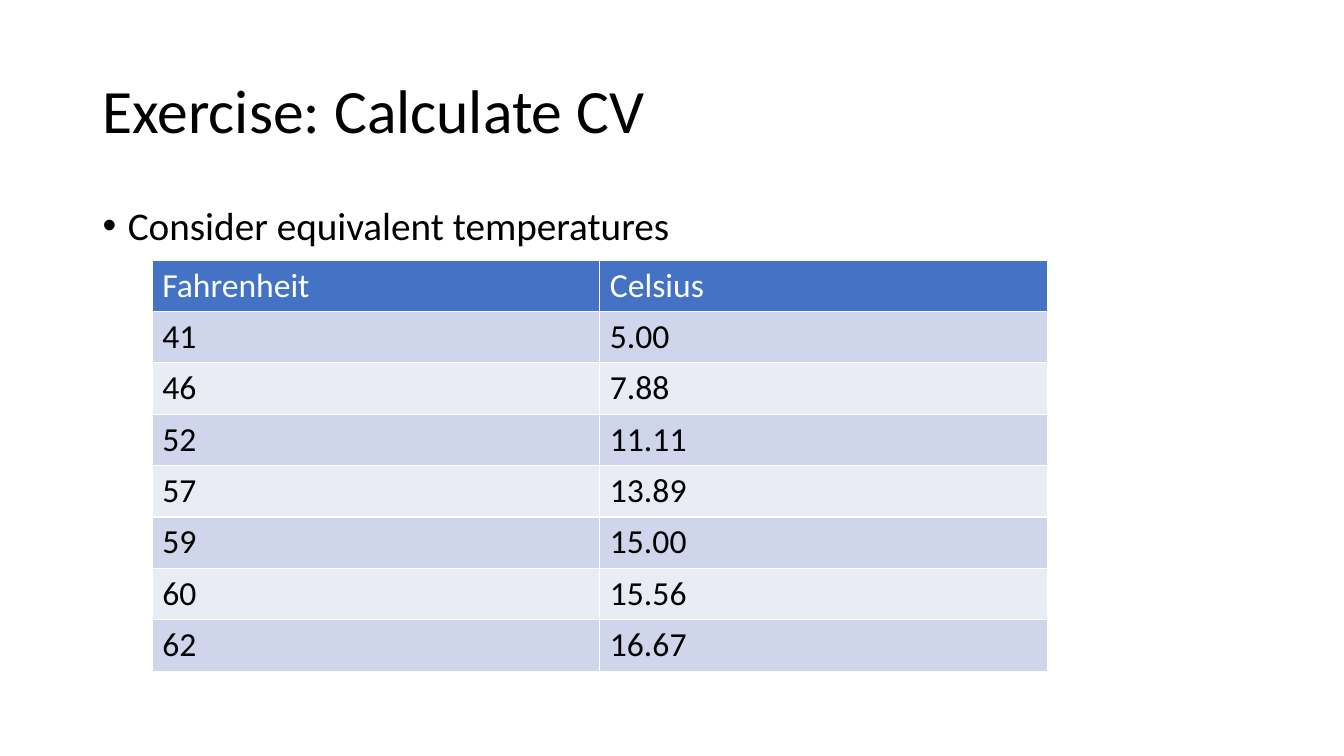
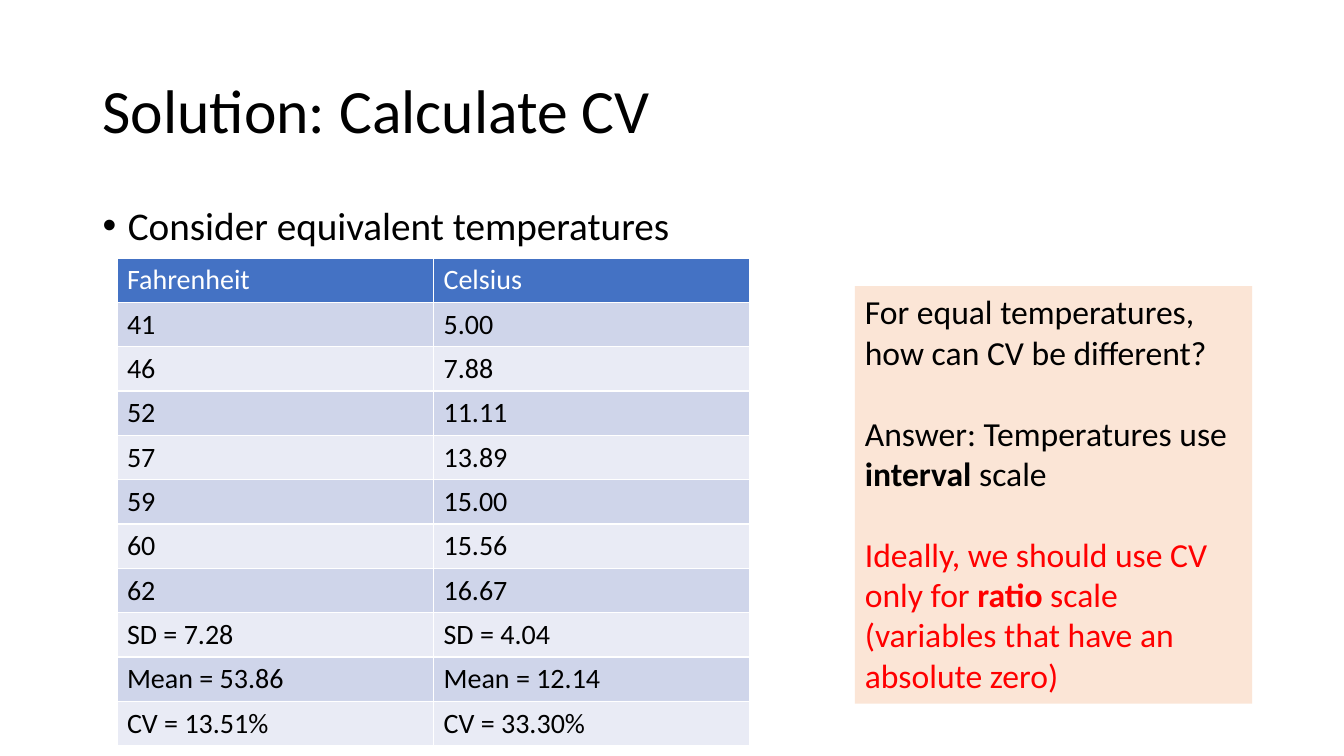
from lxml import etree
from pptx import Presentation
from pptx.dml.color import RGBColor
from pptx.enum.shapes import MSO_SHAPE
from pptx.enum.text import MSO_ANCHOR, PP_ALIGN
from pptx.oxml.ns import qn
from pptx.util import Inches, Pt

RECTANGLE = MSO_SHAPE.RECTANGLE
TOP, MIDDLE = MSO_ANCHOR.TOP, MSO_ANCHOR.MIDDLE
LEFT = PP_ALIGN.LEFT

FONT = "Calibri"
BLACK, WHITE, RED = "000000", "FFFFFF", "FF0000"
HEADER_BLUE, PEACH = "4472C4", "FBE5D6"
BANDS = ["CFD5EA", "E9EBF5"]

TEMPERATURES = [
    ("Fahrenheit", "Celsius"),
    ("41", "5.00"),
    ("46", "7.88"),
    ("52", "11.11"),
    ("57", "13.89"),
    ("59", "15.00"),
    ("60", "15.56"),
    ("62", "16.67"),
]
STATISTICS = [
    ("SD = 7.28", "SD = 4.04"),
    ("Mean = 53.86", "Mean = 12.14"),
    ("CV = 13.51%", "CV = 33.30%"),
]
# title, table rows, table left, table top, column width, row height, text size
SLIDES = [
    ("Exercise: Calculate CV", TEMPERATURES, 1.51, 2.58, 4.44, 0.51, 24),
    ("Solution: Calculate CV", TEMPERATURES + STATISTICS, 1.16, 2.56, 3.14, 0.44, 20),
]
# paragraphs of the answer: colour and runs of (text, bold)
ANSWER = [
    (BLACK, [("For equal temperatures, how can CV be different?", False)]),
    (BLACK, [("Answer: Temperatures use ", False), ("interval ", True), ("scale", False)]),
    (RED, [("Ideally, we should use CV only for ", False), ("ratio", True),
           (" scale (variables that have an absolute zero)", False)]),
]


def rgb(hex_colour):
    return RGBColor.from_string(hex_colour)


def add_run(paragraph, text, size, colour=BLACK, bold=False):
    run = paragraph.add_run()
    run.text = text
    run.font.name = FONT
    run.font.size = Pt(size)
    run.font.bold = bold
    run.font.color.rgb = rgb(colour)


prs = Presentation()
prs.slide_width, prs.slide_height = Inches(13.33), Inches(7.5)

for title, rows, left, top, column_width, row_height, size in SLIDES:
    slide = prs.slides.add_slide(prs.slide_layouts[6])

    heading = slide.shapes.add_textbox(Inches(0.92), Inches(0.4), Inches(11.5), Inches(1.45)).text_frame
    heading.word_wrap = True
    heading.vertical_anchor = MIDDLE
    heading.paragraphs[0].line_spacing = 0.9
    add_run(heading.paragraphs[0], title, 44)

    body = slide.shapes.add_textbox(Inches(0.92), Inches(2), Inches(11.5), Inches(4.76)).text_frame
    body.word_wrap = True
    body.vertical_anchor = TOP
    point = body.paragraphs[0]
    point.line_spacing = 0.9
    point.space_before = Pt(10)
    add_run(point, "Consider equivalent temperatures", 28)
    properties = point._p.get_or_add_pPr()
    properties.set("marL", str(Inches(0.25)))
    properties.set("indent", str(Inches(-0.25)))
    etree.SubElement(properties, qn("a:buFont")).set("typeface", "Arial")
    etree.SubElement(properties, qn("a:buChar")).set("char", "•")

    # The default table style draws the white rules between cells
    table = slide.shapes.add_table(
        len(rows), 2, Inches(left), Inches(top),
        Inches(2 * column_width), Inches(row_height * len(rows))).table
    for column in table.columns:
        column.width = Inches(column_width)
    for r, values in enumerate(rows):
        table.rows[r].height = Inches(row_height)
        for c, value in enumerate(values):
            cell = table.cell(r, c)
            cell.fill.solid()
            cell.fill.fore_color.rgb = rgb(BANDS[(r - 1) % 2] if r else HEADER_BLUE)
            add_run(cell.text_frame.paragraphs[0], value, size, BLACK if r else WHITE)

# The answer stands beside the table on the last slide
answer_box = slide.shapes.add_shape(RECTANGLE, Inches(8.48), Inches(2.84), Inches(3.94), Inches(4.14))
answer_box.shadow.inherit = False
answer_box.fill.solid()
answer_box.fill.fore_color.rgb = rgb(PEACH)
answer_box.line.fill.background()
answer = answer_box.text_frame
answer.word_wrap = True
answer.vertical_anchor = TOP
for i, (colour, runs) in enumerate(ANSWER):
    paragraph = answer.add_paragraph() if i else answer.paragraphs[0]
    paragraph.alignment = LEFT
    paragraph.space_before = Pt(29 if i else 0)
    for text, bold in runs:
        add_run(paragraph, text, 24, colour, bold)

prs.save("out.pptx")
